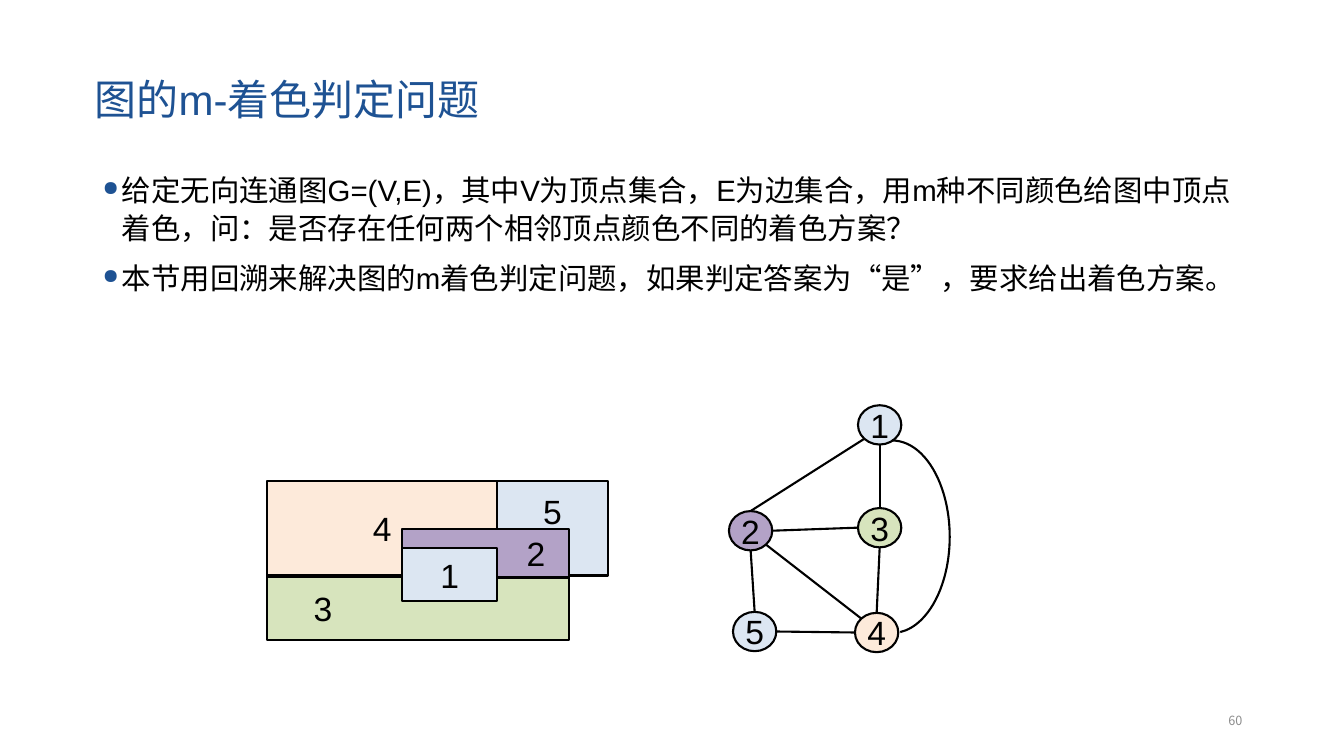
from math import cos, radians, sin

from lxml import etree
from pptx import Presentation
from pptx.dml.color import RGBColor
from pptx.enum.shapes import MSO_CONNECTOR as Connector, MSO_SHAPE as Shape
from pptx.enum.text import MSO_ANCHOR as Anchor, PP_ALIGN as Align
from pptx.oxml.ns import qn
from pptx.util import Inches, Pt

BLUE = RGBColor(0x1E, 0x52, 0x93)
BLACK = RGBColor(0, 0, 0)
GRAY = RGBColor(0x8C, 0x8C, 0x8C)
PEACH = RGBColor(0xFD, 0xEA, 0xDA)
GREEN = RGBColor(0xD7, 0xE4, 0xBD)
PALE_BLUE = RGBColor(0xDC, 0xE6, 0xF2)
PURPLE = RGBColor(0xB3, 0xA2, 0xC7)
CHINESE_FONT = "Noto Sans CJK SC"

NODE_WIDTH, NODE_HEIGHT = 0.43, 0.39
ANGLES = {"right": 0, "lower right": 45, "bottom": 90, "lower left": 135,
          "left": 180, "upper left": 225, "top": 270}


def style(paragraph, text, size, color, name="Arial", align=Align.LEFT):
    paragraph.text = text
    paragraph.alignment = align
    font = paragraph.font
    font.size, font.name = Pt(size), name
    font.color.rgb = color
    properties = paragraph._p.pPr.find(qn("a:defRPr"))
    etree.SubElement(properties, qn("a:ea"), typeface=CHINESE_FONT)


def add_text_frame(page, box, anchor=Anchor.MIDDLE):
    frame = page.shapes.add_textbox(*map(Inches, box)).text_frame
    frame.word_wrap = True
    frame.vertical_anchor = anchor
    return frame


def add_title(page, box):
    para = add_text_frame(page, box).paragraphs[0]
    para.line_spacing = 0.9
    style(para, "图的m-着色判定问题", 30, BLUE)


def add_bullet(para):
    properties = para._p.get_or_add_pPr()
    properties.set("marL", str(Inches(0.19)))
    properties.set("indent", str(Inches(-0.19)))
    color = etree.Element(qn("a:buClr"))
    etree.SubElement(color, qn("a:srgbClr"), val=str(BLUE))
    size = etree.Element(qn("a:buSzPct"), val="70000")
    bullet = etree.Element(qn("a:buChar"), char="●")
    defaults = properties.find(qn("a:defRPr"))
    for element in (color, size, bullet):
        defaults.addprevious(element)


def add_body(page, box, items):
    frame = add_text_frame(page, box, Anchor.TOP)
    for index, item in enumerate(items):
        para = frame.add_paragraph() if index else frame.paragraphs[0]
        para.line_spacing = 1.1
        para.space_before = Pt(7.5)
        style(para, item, 21, BLACK)
        add_bullet(para)


def add_page_number(page, box):
    para = add_text_frame(page, box).paragraphs[0]
    style(para, "60", 9, GRAY, CHINESE_FONT, Align.RIGHT)


def outline(shape):
    shape.line.color.rgb = BLACK
    shape.line.width = Pt(1.5)


def add_labelled(page, kind, box, fill, label, align=Align.CENTER):
    shape = page.shapes.add_shape(kind, *map(Inches, box))
    shape.shadow.inherit = False
    shape.fill.solid()
    shape.fill.fore_color.rgb = fill
    outline(shape)
    frame = shape.text_frame
    frame.vertical_anchor = Anchor.MIDDLE
    frame.word_wrap = kind == Shape.RECTANGLE
    style(frame.paragraphs[0], label, 24, BLACK, align=align)
    return frame


def add_map(page, box):
    left, top = box[:2]

    def region(label, x, y, width, height, fill, align=Align.CENTER):
        place = (left + x, top + y, width, height)
        return add_labelled(page, Shape.RECTANGLE, place, fill, label, align)

    region("4", 0, 0, 2.28, 0.94, PEACH)
    region("3", 0, 0.95, 2.99, 0.63, GREEN, Align.LEFT).margin_left = Inches(0.46)
    five = region("5", 2.28, 0, 1.1, 0.94, PALE_BLUE)
    five.vertical_anchor = Anchor.TOP
    five.margin_top = Inches(0.1)
    region("2", 1.34, 0.48, 1.65, 0.48, PURPLE).margin_left = Inches(1.1)
    region("1", 1.34, 0.67, 0.94, 0.52, PALE_BLUE)


def add_graph(page, box):
    left, top = box[:2]
    nodes = {
        "1": (1.28, 0, PALE_BLUE),
        "2": (0, 1.05, PURPLE),
        "3": (1.28, 1.02, GREEN),
        "4": (1.25, 2.06, PEACH),
        "5": (0.04, 2.05, PALE_BLUE),
    }
    edges = [
        ("2", "right", "3", "left"),
        ("4", "left", "5", "right"),
        ("2", "bottom", "5", "top"),
        ("4", "top", "3", "bottom"),
        ("2", "top", "1", "lower left"),
        ("3", "top", "1", "bottom"),
        ("2", "lower right", "4", "upper left"),
    ]

    def site(label, side):
        x, y, _ = nodes[label]
        angle = radians(ANGLES[side])
        return (Inches(left + x + NODE_WIDTH / 2 * (1 + cos(angle))),
                Inches(top + y + NODE_HEIGHT / 2 * (1 + sin(angle))))

    for label, (x, y, fill) in nodes.items():
        place = (left + x, top + y, NODE_WIDTH, NODE_HEIGHT)
        add_labelled(page, Shape.OVAL, place, fill, label)
    for start, start_side, end, end_side in edges:
        edge = page.shapes.add_connector(
            Connector.STRAIGHT, *site(start, start_side), *site(end, end_side))
        outline(edge)
        etree.SubElement(edge._element.spPr, qn("a:effectLst"))

    arc = page.shapes.add_shape(
        Shape.ARC, *map(Inches, (left + 1.05, top + 0.35, 1.14, 1.91)))
    arc.adjustments[0] = 162
    arc.adjustments[1] = 51.11
    arc.shadow.inherit = False
    arc.fill.background()
    outline(arc)


def main():
    deck = Presentation()
    deck.slide_width, deck.slide_height = Inches(13.33), Inches(7.5)
    page = deck.slides.add_slide(deck.slide_layouts[6])
    add_title(page, (0.84, 0.29, 11.5, 1.45))
    add_body(page, (0.92, 1.62, 11.42, 4.25), [
        "给定无向连通图G=(V,E)，其中V为顶点集合，E为边集合，"
        "用m种不同颜色给图中顶点着色，问：是否存在任何两个相邻顶点颜色不同的着色方案？",
        "本节用回溯来解决图的m着色判定问题，如果判定答案为“是”，要求给出着色方案。",
    ])
    add_page_number(page, (9.42, 6.95, 3, 0.4))
    add_map(page, (2.65, 4.77, 3.38, 1.58))
    add_graph(page, (7.23, 4.02, 2.19, 2.45))
    deck.save("out.pptx")


if __name__ == "__main__":
    main()
